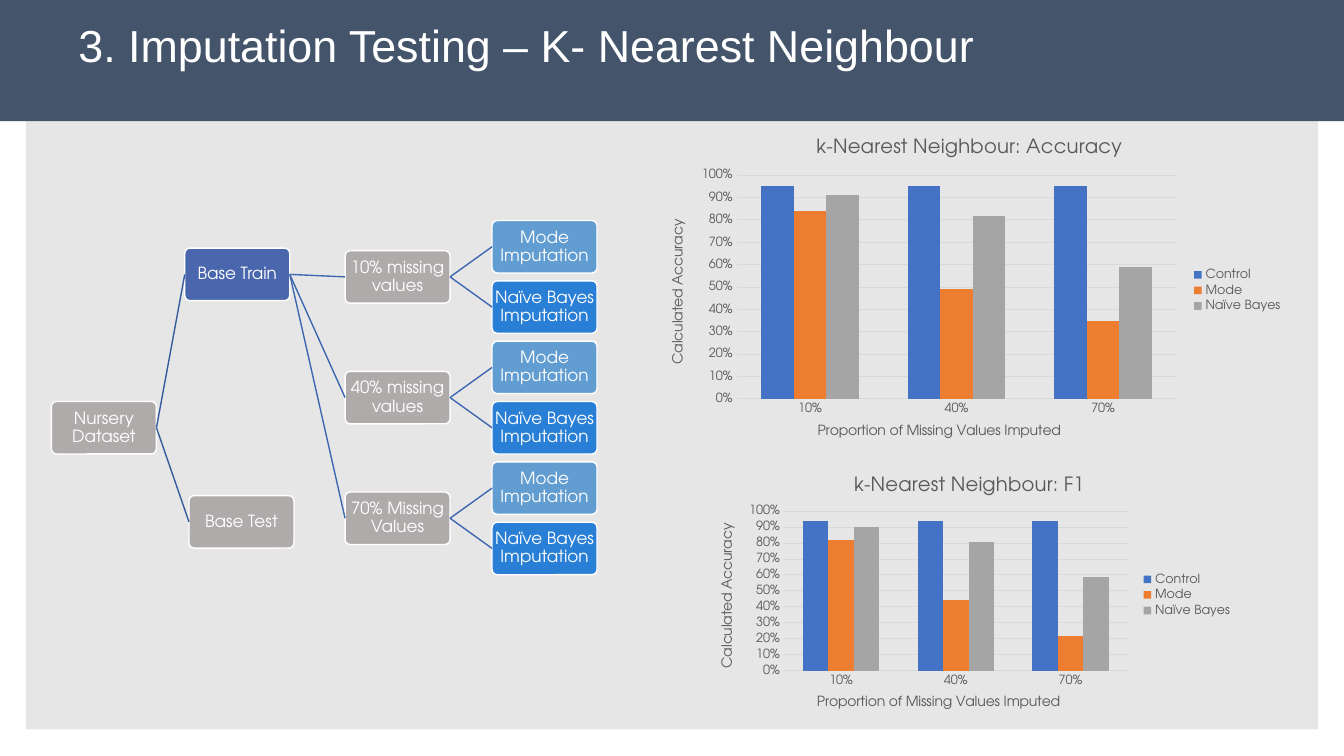
from dataclasses import dataclass

from lxml.etree import SubElement
from pptx import Presentation
from pptx.chart.data import CategoryChartData
from pptx.dml.color import RGBColor
from pptx.enum.chart import XL_CHART_TYPE as ChartType
from pptx.enum.chart import XL_LEGEND_POSITION as LegendPosition
from pptx.enum.chart import XL_TICK_MARK as TickMark
from pptx.enum.shapes import MSO_CONNECTOR as Connector
from pptx.enum.shapes import MSO_SHAPE as ShapeType
from pptx.enum.text import MSO_ANCHOR as Anchor
from pptx.enum.text import PP_ALIGN as Align
from pptx.oxml.ns import qn
from pptx.util import Pt


@dataclass(frozen=True)
class Theme:
    title_font: str = "Arial"
    body_font: str = "TeX Gyre Adventor"
    title_size: float = 32
    node_size: float = 12
    chart_title_size: float = 14
    axis_title_size: float = 10
    label_size: float = 9
    white: str = "FFFFFF"
    panel: str = "E7E6E6"
    header: str = "44546A"
    neutral: str = "AFABAB"
    train: str = "4A66AC"
    mode: str = "629DD1"
    bayes: str = "297FD5"
    root_link: str = "365B9D"
    link: str = "3E67B2"
    chart_text: str = "595959"
    grid: str = "D9D9D9"
    series: tuple = ("4472C4", "ED7D31", "A5A5A5")


THEME = Theme()
NODE_WIDTH, NODE_HEIGHT = 75, 37.5
LEAF_LEFT, LEAF_TOP, LEAF_PITCH = 351.5, 157.5, 43.1
SHARE_LEFT = 246.5
SHARES = ("10%", "40%", "70%")


def rgb(value):
    return RGBColor.from_string(value)


def style_font(font, size, color, name=THEME.body_font):
    font.size = Pt(size)
    font.name = name
    font.bold = False
    font.color.rgb = rgb(color)


def write_text(frame, text, size, color=THEME.white, font=THEME.body_font,
               align=Align.CENTER, inset=1, spacing=0.9):
    frame.word_wrap = True
    frame.vertical_anchor = Anchor.MIDDLE
    frame.margin_left = frame.margin_right = Pt(inset)
    frame.margin_top = frame.margin_bottom = Pt(1)
    paragraph = frame.paragraphs[0]
    paragraph.alignment = align
    paragraph.line_spacing = spacing
    run = paragraph.add_run()
    run.text = text
    style_font(run.font, size, color, font)


def add_box(slide, kind, left, top, width, height, fill):
    shape = slide.shapes.add_shape(kind, Pt(left), Pt(top), Pt(width), Pt(height))
    shape.shadow.inherit = False
    shape.fill.solid()
    shape.fill.fore_color.rgb = rgb(fill)
    shape.line.fill.background()
    return shape


def add_node(slide, text, left, top, fill):
    node = add_box(slide, ShapeType.ROUNDED_RECTANGLE, left, top, NODE_WIDTH, NODE_HEIGHT, fill)
    node.adjustments[0] = 0.1
    node.line.color.rgb = rgb(THEME.white)
    node.line.width = Pt(1)
    write_text(node.text_frame, text, THEME.node_size)
    return node


def add_link(slide, parent, child, color=THEME.link):
    link = slide.shapes.add_connector(Connector.STRAIGHT, 0, 0, 0, 0)
    link.begin_connect(parent, 3)
    link.end_connect(child, 1)
    link.line.color.rgb = rgb(color)
    link.line.width = Pt(1)
    SubElement(link.element.spPr, qn("a:effectLst"))


def add_tree(slide):
    root = add_node(slide, "Nursery Dataset", 36.75, 286.75, THEME.neutral)
    train = add_node(slide, "Base Train", 132, 177.25, THEME.train)
    test = add_node(slide, "Base Test", 135, 354, THEME.neutral)
    for child in (train, test):
        add_link(slide, root, child, THEME.root_link)
    share_labels = ("10% missing values", "40% missing values", "70% Missing Values")
    methods = (("Mode Imputation", THEME.mode), ("Naïve Bayes Imputation", THEME.bayes))
    for index, label in enumerate(share_labels):
        top = LEAF_TOP + 2 * index * LEAF_PITCH
        share = add_node(slide, label, SHARE_LEFT, top + LEAF_PITCH / 2, THEME.neutral)
        add_link(slide, train, share)
        for row, (method, fill) in enumerate(methods):
            leaf = add_node(slide, method, LEAF_LEFT, top + row * LEAF_PITCH, fill)
            add_link(slide, share, leaf)


def set_plot_layout(chart, bounds):
    plot_area = chart.element.find(".//" + qn("c:plotArea"))
    layout = plot_area.find(qn("c:layout"))
    if layout is None:
        layout = SubElement(plot_area, qn("c:layout"))
        plot_area.insert(0, layout)
    manual = SubElement(layout, qn("c:manualLayout"))
    settings = [("layoutTarget", "inner"), ("xMode", "edge"), ("yMode", "edge")]
    settings += zip("xywh", map(str, bounds))
    for name, value in settings:
        SubElement(manual, qn(f"c:{name}")).set("val", value)


def write_chart_title(owner, text, size):
    frame = (owner.chart_title if hasattr(owner, "chart_title") else owner.axis_title).text_frame
    run = frame.paragraphs[0].add_run()
    run.text = text
    style_font(run.font, size, THEME.chart_text)


def style_axis(axis, title):
    axis.major_tick_mark = axis.minor_tick_mark = TickMark.NONE
    style_font(axis.tick_labels.font, THEME.label_size, THEME.chart_text)
    write_chart_title(axis, title, THEME.axis_title_size)


def add_column_chart(slide, title, bounds, plot_bounds, results):
    data = CategoryChartData(number_format="0%")
    data.categories = SHARES
    for name, values in results.items():
        data.add_series(name, values)
    chart = slide.shapes.add_chart(ChartType.COLUMN_CLUSTERED, *map(Pt, bounds), data).chart
    style_font(chart.font, THEME.axis_title_size, THEME.chart_text)
    write_chart_title(chart, title, THEME.chart_title_size)

    plot = chart.plots[0]
    plot.gap_width = 150
    plot.overlap = 0
    plot.vary_by_categories = False
    for series, color in zip(plot.series, THEME.series):
        series.format.fill.solid()
        series.format.fill.fore_color.rgb = rgb(color)

    style_axis(chart.category_axis, "Proportion of Missing Values Imputed")
    style_axis(chart.value_axis, "Calculated Accuracy")
    value_axis = chart.value_axis
    value_axis.minimum_scale, value_axis.maximum_scale, value_axis.major_unit = 0, 1, 0.1
    value_axis.tick_labels.number_format = "0%"
    value_axis.tick_labels.number_format_is_linked = False
    value_axis.format.line.fill.background()
    for line in (chart.category_axis.format.line, value_axis.major_gridlines.format.line):
        line.color.rgb = rgb(THEME.grid)
        line.width = Pt(0.75)

    chart.has_legend = True
    chart.legend.position = LegendPosition.RIGHT
    chart.legend.include_in_layout = False
    style_font(chart.legend.font, THEME.label_size, THEME.chart_text)
    set_plot_layout(chart, plot_bounds)


def main():
    presentation = Presentation()
    presentation.slide_width, presentation.slide_height = Pt(960), Pt(540)
    slide = presentation.slides.add_slide(presentation.slide_layouts[6])
    add_box(slide, ShapeType.RECTANGLE, 18.5, 18.5, 923, 502.5, THEME.panel)
    add_box(slide, ShapeType.RECTANGLE, 0, 0, 960, 86.5, THEME.header)
    title = slide.shapes.add_textbox(Pt(49), Pt(18.5), Pt(875), Pt(31))
    write_text(title.text_frame, "3. Imputation Testing – K- Nearest Neighbour", THEME.title_size,
               font=THEME.title_font, align=Align.LEFT, inset=7.2)
    add_tree(slide)
    add_column_chart(slide, "k-Nearest Neighbour: Accuracy", (461.5, 86.5, 462, 242),
                     (0.14, 0.16, 0.68, 0.66),
                     {"Control": (0.95, 0.95, 0.95), "Mode": (0.84, 0.49, 0.35),
                      "Naïve Bayes": (0.91, 0.82, 0.59)})
    add_column_chart(slide, "k-Nearest Neighbour: F1", (497.5, 328.5, 390, 193),
                     (0.16, 0.19, 0.63, 0.59),
                     {"Control": (0.94, 0.94, 0.94), "Mode": (0.82, 0.44, 0.22),
                      "Naïve Bayes": (0.9, 0.81, 0.59)})
    presentation.save("out.pptx")


if __name__ == "__main__":
    main()
